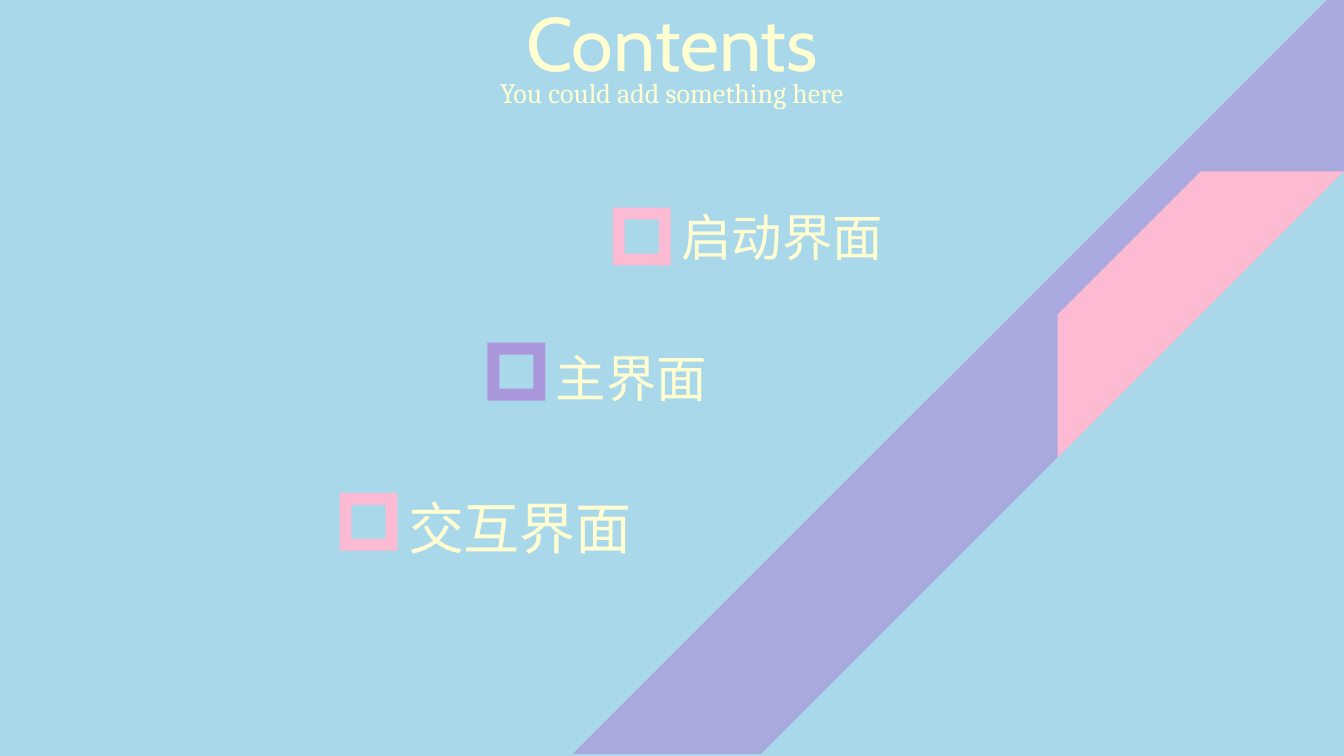
import pptx
import pptx.util
import pptx.dml.color
import pptx.enum.shapes
import pptx.enum.text
import lxml.etree
import pptx.oxml.ns

RGBColor = pptx.dml.color.RGBColor
SHAPES = pptx.enum.shapes.MSO_SHAPE
ALIGN = pptx.enum.text.PP_ALIGN

SKY = RGBColor(0xA8, 0xD8, 0xEA)
CREAM = RGBColor(0xFF, 0xFF, 0xD2)
PURPLE = RGBColor(0xAA, 0x96, 0xDA)
PINK = RGBColor(0xFC, 0xBA, 0xD3)

deck = pptx.Presentation()
deck.slide_width = pptx.util.Inches(13.33)
deck.slide_height = pptx.util.Inches(7.5)
page = deck.slides.add_slide(deck.slide_layouts[6])
page.background.fill.solid()
page.background.fill.fore_color.rgb = SKY

# One percent of the slide's width and height
COLUMN = deck.slide_width / 100
ROW = deck.slide_height / 100


def add_text(text, left, top, width, height, size, font, align):
    box = page.shapes.add_textbox(*map(int, (left, top, width, height)))
    box.text_frame.word_wrap = True
    para = box.text_frame.paragraphs[0]
    para.alignment = align
    span = para.add_run()
    span.text = text
    span.font.size = pptx.util.Pt(size)
    span.font.name = font
    span.font.color.rgb = CREAM


def add_square(kind, left, top, side, color):
    shape = page.shapes.add_shape(kind, *map(int, (left, top, side, side)))
    shape.shadow.inherit = False
    shape.fill.solid()
    shape.fill.fore_color.rgb = color
    shape.line.fill.background()
    return shape


# Centred heading and subtitle
for text, top, width, height, size, font in [
    ("Contents", -1.2, 44.85, 13.47, 54, "Cabin"),
    ("You could add something here", 9.33, 33, 5.87, 20, "Cambria"),
]:
    add_text(text, (100 - width) / 2 * COLUMN, top * ROW, width * COLUMN,
             height * ROW, size, font, ALIGN.CENTER)

# Diagonal stripes against the right edge
band_side = 102 * ROW
band = add_square(SHAPES.DIAGONAL_STRIPE, deck.slide_width - band_side,
                  -2.27 * ROW, band_side, PURPLE)
band.rotation = 180
band.adjustments[0] = 0.756
color_node = band.fill._xPr.find(".//" + pptx.oxml.ns.qn("a:srgbClr"))
lxml.etree.SubElement(color_node, pptx.oxml.ns.qn("a:alpha"), val="70000")

accent_side = 37.87 * ROW
add_square(SHAPES.DIAGONAL_STRIPE, deck.slide_width - accent_side,
           22.67 * ROW, accent_side, PINK)

# Contents entries: a frame with its label to the right
FRAME_SIDE = 7.65 * ROW
LABEL_OFFSET = 4.35 * COLUMN
for text, color, left, frame_top, label_top, width, height, size in [
    ("启动界面", PINK, 45.6, 27.47, 26.67, 31.57, 9.47, 36),
    ("主界面", PURPLE, 36.27, 45.33, 45.2, 26.85, 9.47, 36),
    ("交互界面", PINK, 25.27, 65.2, 64.67, 28.87, 10.27, 40),
]:
    frame = add_square(SHAPES.FRAME, left * COLUMN, frame_top * ROW,
                       FRAME_SIDE, color)
    frame.adjustments[0] = 0.205
    add_text(text, left * COLUMN + LABEL_OFFSET, label_top * ROW,
             width * COLUMN, height * ROW, size, "Cabin", ALIGN.LEFT)

deck.save("out.pptx")
